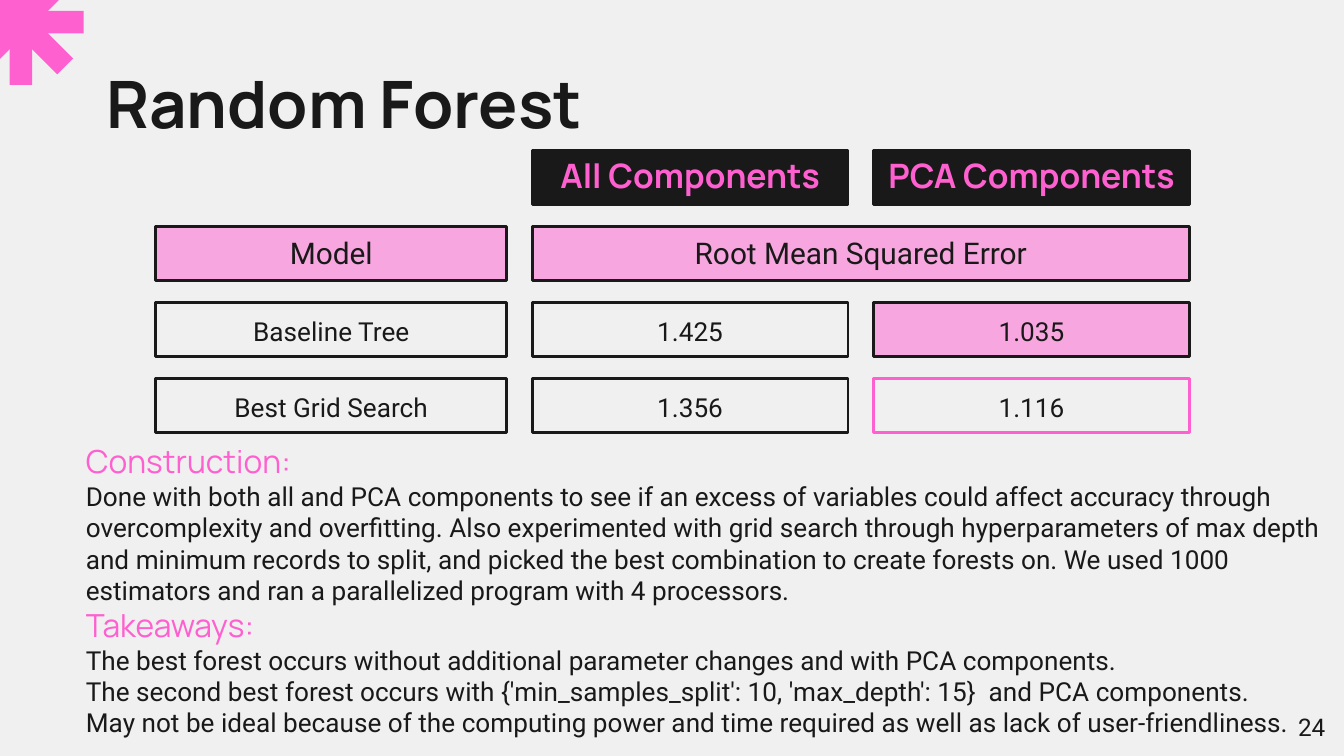
import dataclasses

import lxml.etree
import pptx
import pptx.dml.color
import pptx.enum.shapes
import pptx.enum.text
import pptx.oxml.ns
import pptx.util

SHAPE = pptx.enum.shapes.MSO_SHAPE
ALIGN = pptx.enum.text.PP_ALIGN
ANCHOR = pptx.enum.text.MSO_ANCHOR
inch = pptx.util.Inches


@dataclasses.dataclass(frozen=True)
class Theme:
    back: str = "F0F0F0"
    ink: str = "191919"
    pink: str = "FF60CF"
    head: str = "Manrope"
    body: str = "Roboto"
    title: int = 35
    top: int = 18
    lead: int = 17
    label: int = 16
    text: int = 14
    page: int = 13
    line: float = 1.5


LOOK = Theme()
WIDE = 10
HIGH = WIDE * 9 / 16

# Table grid: column widths and row tops, in inches
COLS = (2.61, 2.35, 2.35)
LEFT, TOP, GAP = 1.16, 1.12, 0.19
CELL, STEP = 0.4, 0.566

ABOUT = (
    "Done with both all and PCA components to see if an excess of variables "
    "could affect accuracy through overcomplexity and overfitting. Also "
    "experimented with grid search through hyperparameters of max depth and "
    "minimum records to split, and picked the best combination to create "
    "forests on. We used 1000 estimators and ran a parallelized program with "
    "4 processors. "
)
POINTS = (
    "The best forest occurs without additional parameter changes and with "
    "PCA components.",
    "The second best forest occurs with {'min_samples_split': 10, "
    "'max_depth': 15}  and PCA components.",
    "May not be ideal because of the computing power and time required as "
    "well as lack of user-friendliness.",
)


def color(code):
    return pptx.dml.color.RGBColor.from_string(code)


def write(para, text, size=LOOK.text, font=LOOK.body, ink=LOOK.ink,
          bold=False, align=None, space=None, after=None):
    """Add one run to a paragraph and set the paragraph's layout."""
    run = para.add_run()
    run.text = text
    run.font.size = pptx.util.Pt(size)
    run.font.name = font
    run.font.bold = bold
    run.font.color.rgb = color(ink)
    if align is not None:
        para.alignment = align
    if space is not None:
        para.line_spacing = space
    if after is not None:
        para.space_after = pptx.util.Pt(after)


def frame(shape, pads, anchor=ANCHOR.TOP):
    """Set wrap, insets (left, top, right, bottom) and anchor."""
    area = shape.text_frame
    area.word_wrap = True
    area.vertical_anchor = anchor
    (area.margin_left, area.margin_top,
     area.margin_right, area.margin_bottom) = map(inch, pads)
    return area


def box(slide, place, pad=0.1, anchor=ANCHOR.TOP):
    shape = slide.shapes.add_textbox(*map(inch, place))
    return frame(shape, (pad,) * 4, anchor)


def fade(shape, share):
    """Make the solid fill partly clear."""
    tone = shape.element.spPr.xpath("a:solidFill/a:srgbClr")[0]
    alpha = lxml.etree.SubElement(tone, pptx.oxml.ns.qn("a:alpha"))
    alpha.set("val", str(int(share * 100000)))


def cell(slide, row, col, text, span=1, fill=None, clear=False,
         edge=LOOK.ink, pad=0.06, **form):
    left = LEFT + sum(COLS[:col]) + GAP * col
    wide = sum(COLS[col:col + span]) + GAP * (span - 1)
    place = (left, TOP + STEP * row, wide, CELL)
    shape = slide.shapes.add_shape(SHAPE.RECTANGLE, *map(inch, place))
    shape.shadow.inherit = False
    if fill:
        shape.fill.solid()
        shape.fill.fore_color.rgb = color(fill)
        if clear:
            fade(shape, 0.51)
    else:
        shape.fill.background()
    shape.line.color.rgb = color(edge)
    shape.line.width = pptx.util.Pt(LOOK.line)
    area = frame(shape, (0, pad, 0, 0))
    write(area.paragraphs[0], text, align=ALIGN.CENTER, after=16, **form)


def star(slide):
    for turn in (0, 45):
        place = map(inch, (-0.48, -0.47, 1.27, 1.27))
        shape = slide.shapes.add_shape(SHAPE.MATH_MULTIPLY, *place)
        shape.adjustments[0] = 0.132
        shape.rotation = turn
        shape.shadow.inherit = False
        shape.fill.solid()
        shape.fill.fore_color.rgb = color(LOOK.pink)
        shape.line.fill.background()


def scores(slide):
    tint = dict(fill=LOOK.pink, clear=True)
    for col, text in enumerate(("All Components", "PCA Components"), 1):
        cell(slide, 0, col, text, fill=LOOK.ink, pad=0.03, size=LOOK.top,
             font=LOOK.head, ink=LOOK.pink, bold=True)
    cell(slide, 1, 0, "Model", size=LOOK.label, **tint)
    cell(slide, 1, 1, "Root Mean Squared Error", span=2, size=LOOK.label,
         **tint)
    rows = (("Baseline Tree", "1.425", "1.035"),
            ("Best Grid Search", "1.356", "1.116"))
    marks = {(2, 2): tint, (3, 2): dict(edge=LOOK.pink)}
    for row, texts in enumerate(rows, 2):
        for col, text in enumerate(texts):
            cell(slide, row, col, text, space=1.15,
                 **marks.get((row, col), {}))


def notes(slide):
    lead = dict(size=LOOK.lead, font=LOOK.head, ink=LOOK.pink)
    area = box(slide, (0.54, 3.19, 9.42, 2.42))
    write(area.paragraphs[0], "Construction: ", **lead)
    para = area.add_paragraph()
    write(para, ABOUT)
    para.add_line_break()
    write(para, "Takeaways: ", **lead)
    for text in POINTS:
        write(area.add_paragraph(), text)


def main():
    deck = pptx.Presentation()
    deck.slide_width, deck.slide_height = inch(WIDE), inch(HIGH)
    slide = deck.slides.add_slide(deck.slide_layouts[6])
    slide.background.fill.solid()
    slide.background.fill.fore_color.rgb = color(LOOK.back)

    star(slide)
    title = box(slide, (0.79, 0.47, 8.43, 0.5), pad=0)
    write(title.paragraphs[0], "Random Forest", size=LOOK.title,
          font=LOOK.head, bold=True)
    page = box(slide, (9.36, 5.19, 0.6, 0.43), anchor=ANCHOR.MIDDLE)
    write(page.paragraphs[0], "24", size=LOOK.page, align=ALIGN.RIGHT)
    notes(slide)
    scores(slide)
    deck.save("out.pptx")


if __name__ == "__main__":
    main()
